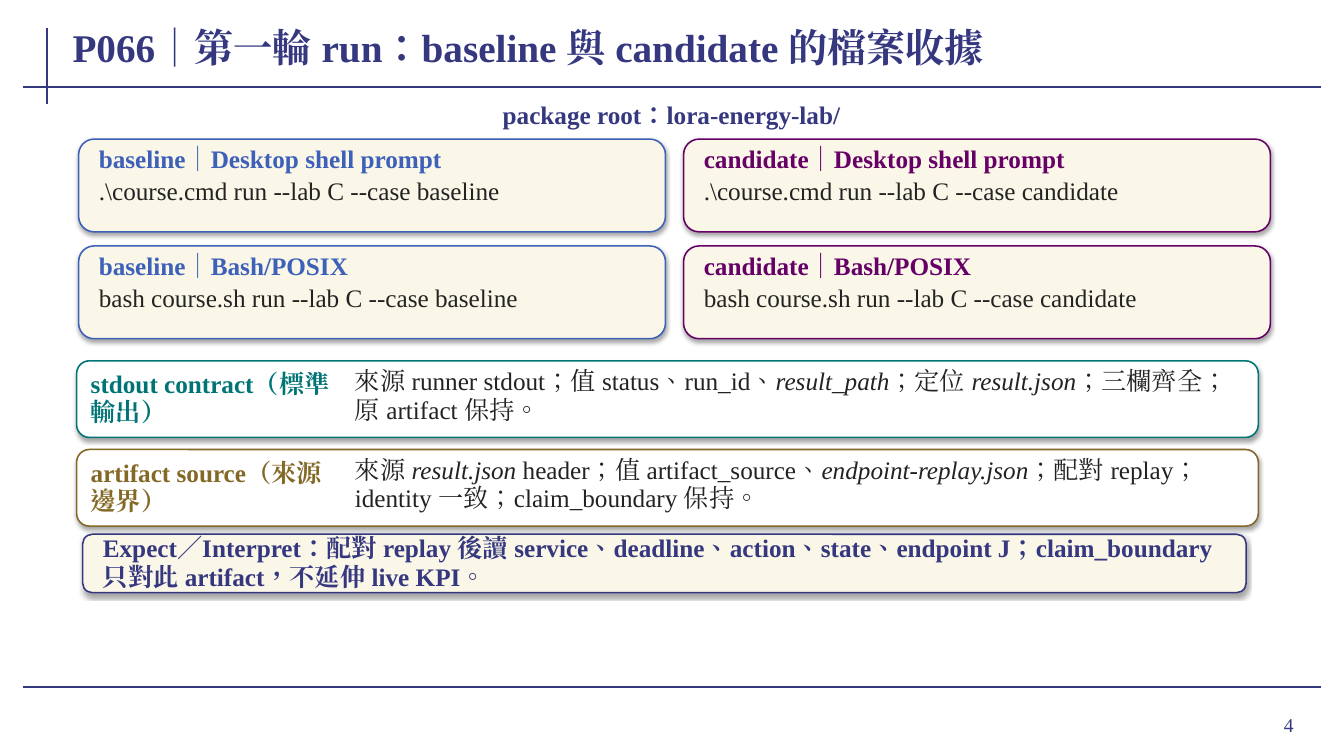
import pptx
import pptx.dml.color
import pptx.enum.shapes
import pptx.enum.text
import pptx.oxml.ns
import pptx.util
from lxml import etree

Inches, Pt = pptx.util.Inches, pptx.util.Pt
ANCHOR, ALIGN = pptx.enum.text.MSO_ANCHOR, pptx.enum.text.PP_ALIGN
FONT = "Times New Roman"
NAVY, BLUE, PURPLE, TEAL, GOLD = "35377F", "3D61B9", "660066", "007474", "846826"
INK, CREAM, WHITE = "232323", "FAF7E8", "FFFFFF"

TITLE = "P066｜第一輪 run：baseline 與 candidate 的檔案收據"
PACKAGE_ROOT = "package root：lora-energy-lab/"
PAGE = "4"
CASES = [("baseline", BLUE), ("candidate", PURPLE)]
SHELLS = [("Desktop shell prompt", ".\\course.cmd"), ("Bash/POSIX", "bash course.sh")]
CONTRACTS = [
    ("stdout contract（標準輸出）", TEAL,
     [("來源 runner stdout；值 status、run_id、", False), ("result_path", True),
      ("；定位 ", False), ("result.json", True),
      ("；三欄齊全；原 artifact 保持。", False)]),
    ("artifact source（來源邊界）", GOLD,
     [("來源 ", False), ("result.json", True),
      (" header；值 artifact_source、", False), ("endpoint-replay.json", True),
      ("；配對 replay；identity 一致；claim_boundary 保持。", False)]),
]
EXPECT = ("Expect／Interpret：配對 replay 後讀 service、deadline、action、state、"
          "endpoint J；claim_boundary 只對此 artifact，不延伸 live KPI。")
RULES = [(0.47, 0.28, 0.47, 1.03), (0.23, 0.86, 13.1, 0.86), (0.23, 6.82, 13.1, 6.82)]

deck = pptx.Presentation()
deck.slide_width, deck.slide_height = Inches(13.33), Inches(7.5)
slide = deck.slides.add_slide(deck.slide_layouts[6])


def colour(value):
    return pptx.dml.color.RGBColor.from_string(value)


def child(parent, tag, **attributes):
    return etree.SubElement(parent, pptx.oxml.ns.qn(tag), attributes)


def add_rule(x1, y1, x2, y2):
    rule = slide.shapes.add_connector(
        pptx.enum.shapes.MSO_CONNECTOR.STRAIGHT, *map(Inches, (x1, y1, x2, y2)))
    rule.line.color.rgb = colour(NAVY)
    rule.line.width = Pt(1.5)
    child(rule._element.spPr, "a:effectLst")


def add_card(x, y, width, height, fill, edge):
    card = slide.shapes.add_shape(
        pptx.enum.shapes.MSO_SHAPE.ROUNDED_RECTANGLE, *map(Inches, (x, y, width, height)))
    card.fill.solid()
    card.fill.fore_color.rgb = colour(fill)
    card.line.color.rgb = colour(edge)
    card.line.width = Pt(1.1)
    card.shadow.inherit = False
    effects = card._element.spPr.find(pptx.oxml.ns.qn("a:effectLst"))
    shadow = child(effects, "a:outerShdw", blurRad=str(Pt(3.1)), dist=str(Pt(1.8)),
                   dir="5400000", algn="ctr", rotWithShape="0")
    child(child(shadow, "a:srgbClr", val="000000"), "a:alpha", val="35000")


def add_text(x, y, width, height, content, ink, size=18, bold=False, align=ALIGN.LEFT,
             anchor=ANCHOR.MIDDLE, grow=True, inset=0.04, spacing=0.94):
    box = slide.shapes.add_textbox(*map(Inches, (x, y, width, height)))
    frame = box.text_frame
    frame.word_wrap = True
    frame.vertical_anchor = anchor
    frame.margin_left = frame.margin_right = Inches(inset)
    frame.margin_top = frame.margin_bottom = 0
    fit = pptx.enum.text.MSO_AUTO_SIZE
    frame.auto_size = fit.SHAPE_TO_FIT_TEXT if grow else fit.NONE
    paragraph = frame.paragraphs[0]
    paragraph.alignment = align
    paragraph.line_spacing = spacing
    font = paragraph.font
    font.name, font.size, font.bold = FONT, Pt(size), bold
    font.color.rgb = colour(ink)
    child(font._element, "a:ea", typeface=FONT)
    pieces = [(content, False)] if isinstance(content, str) else content
    for words, italic in pieces:
        run = paragraph.add_run()
        run.text = words
        run._r.get_or_add_rPr().set("lang", "zh-TW")
        if italic:
            run.font.italic = True


for ends in RULES:
    add_rule(*ends)
add_text(11.96, 6.93, 0.97, 0.52, PAGE, NAVY, size=14, align=ALIGN.RIGHT,
         grow=False, inset=0.1, spacing=1.0)
add_text(0.68, 0.18, 11.95, 0.62, TITLE, NAVY, size=28, bold=True, grow=False)
add_text(0.84, 1.04, 11.64, 0.22, PACKAGE_ROOT, NAVY, bold=True, align=ALIGN.CENTER)

for row, (shell, command) in enumerate(SHELLS):
    for column, (case, accent) in enumerate(CASES):
        left, top = 0.78 + 6 * column, 1.38 + 1.06 * row
        add_card(left, top, 5.82, 0.92, CREAM, accent)
        add_text(left + 0.16, top + 0.08, 5.5, 0.25, f"{case}｜{shell}", accent, bold=True)
        add_text(left + 0.16, top + 0.38, 5.5, 0.42,
                 f"{command} run --lab C --case {case}", INK, anchor=ANCHOR.TOP)

for row, (label, accent, detail) in enumerate(CONTRACTS):
    top = 3.58 + 0.88 * row
    add_card(0.76, top, 11.72, 0.76, WHITE, accent)
    add_text(0.86, top + 0.06, 2.54, 0.64, label, accent, bold=True)
    add_text(3.48, top + 0.07, 8.88, 0.62, detail, INK, anchor=ANCHOR.TOP)

add_card(0.82, 5.3, 11.54, 0.58, CREAM, NAVY)
add_text(0.98, 5.36, 11.22, 0.46, EXPECT, NAVY, bold=True)

deck.save("out.pptx")
